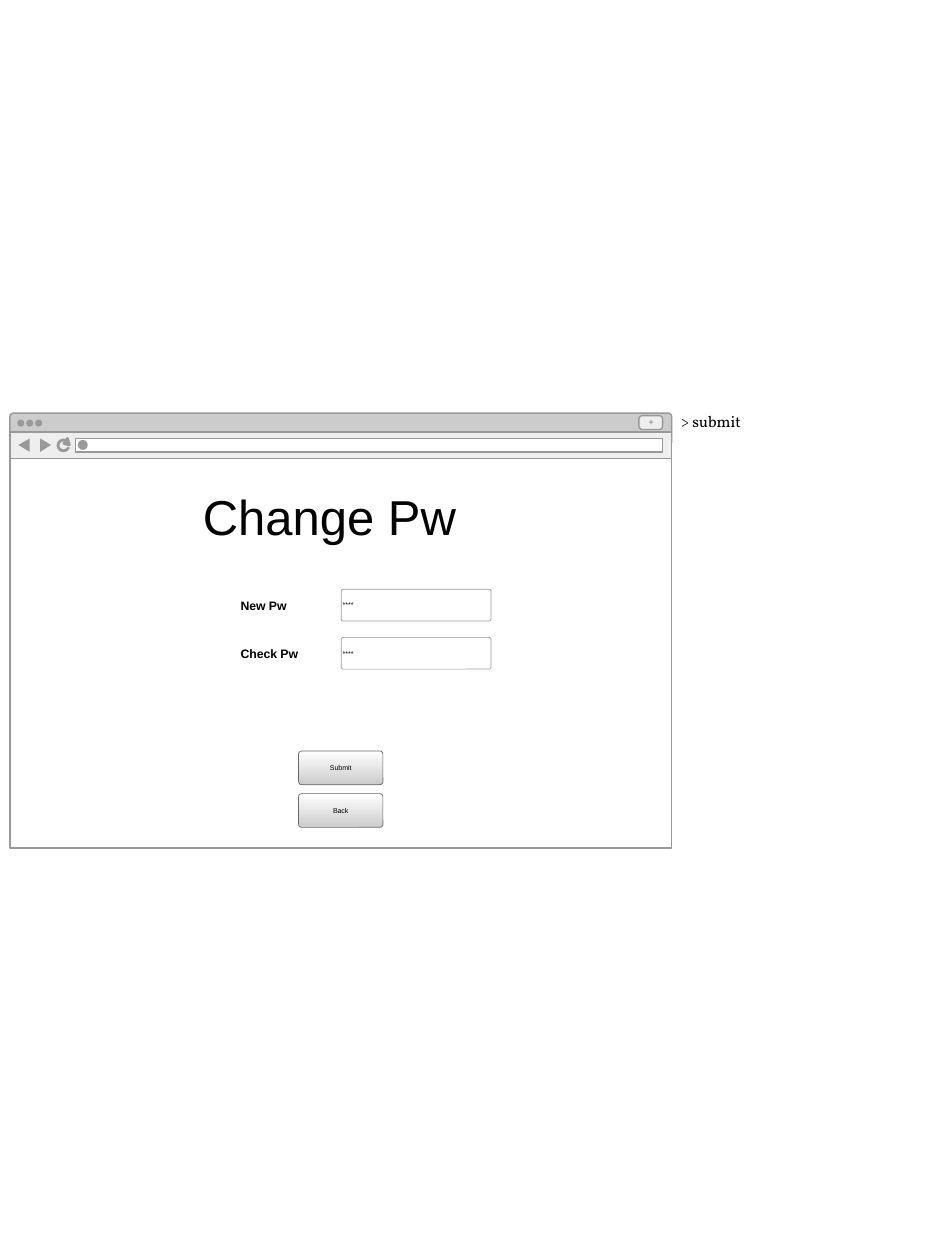
import pptx
import pptx.util
import pptx.dml.color
import pptx.enum.shapes
import pptx.enum.text

Cm = pptx.util.Cm
Pt = pptx.util.Pt
SHAPE = pptx.enum.shapes.MSO_SHAPE
ANCHOR = pptx.enum.text.MSO_ANCHOR
ALIGN = pptx.enum.text.PP_ALIGN

COLOURS = {
    "text": "000000",
    "paper": "FFFFFF",
    "toolbar": "EEEEEE",
    "title_bar": "CCCCCC",
    "outline": "999999",
    "button_line": "666666",
}

# Boxes are left, top, width, height in centimetres.
HEADING = ("Change Pw", (4.09, 9.8, 5.61, 1.19))
NOTE = ("> submit", (13.72, 8.31, 5.13, 0.38))
FIELDS = [("New Pw", "****"), ("Check Pw", "****")]
BUTTONS = ["Submit", "Back"]

WINDOW_LEFT, WINDOW_WIDTH = 0.2, 13.34
TITLE_BAR = (WINDOW_LEFT, 8.33, WINDOW_WIDTH, 0.65)
TOOLBAR = (WINDOW_LEFT, 8.71, WINDOW_WIDTH, 0.53)
PAGE = (WINDOW_LEFT, 9.24, WINDOW_WIDTH, 7.86)
NEW_TAB = (12.88, 8.38, 0.48, 0.28)
ADDRESS = (1.52, 8.84, 11.84, 0.27)
SITE_ICON = (1.57, 8.87, 0.2, 0.2)
RELOAD = (1.17, 8.87, 0.22, 0.22)
ARROWS = {
    "back": [(0.37, 8.97), (0.6, 8.84), (0.6, 9.11)],
    "forward": [(1.03, 8.97), (0.81, 9.11), (0.81, 8.84)],
}
RELOAD_HEAD = [(1.4, 8.97), (1.29, 8.94), (1.36, 8.84)]
DOT_COUNT, DOT_LEFT, DOT_TOP, DOT_SIZE, DOT_STEP = 3, 0.35, 8.46, 0.14, 0.18

FIELD_LEFT, FIELD_TOP, FIELD_WIDTH, FIELD_HEIGHT, FIELD_STEP = 6.88, 11.88, 3.02, 0.64, 0.97
LABEL_LEFT, LABEL_WIDTH, LABEL_HEIGHT = 4.85, 1.45, 0.3
BUTTON_LEFT, BUTTON_TOP, BUTTON_WIDTH, BUTTON_HEIGHT, BUTTON_STEP = 6.02, 15.14, 1.7, 0.68, 0.86
SMALL_TEXT_HEIGHT, MASK_INSET = 0.18, 0.03

prs = pptx.Presentation()
prs.slide_width, prs.slide_height = Cm(19.05), Cm(25.4)
slide = prs.slides.add_slide(prs.slide_layouts[6])


def rgb(name):
    return pptx.dml.color.RGBColor.from_string(COLOURS[name])


def paint(shape, fill=None, line=None, weight=0.79):
    shape.shadow.inherit = False
    if fill:
        shape.fill.solid()
        shape.fill.fore_color.rgb = rgb(fill)
    else:
        shape.fill.background()
    if line:
        shape.line.color.rgb = rgb(line)
        shape.line.width = Pt(weight)
    else:
        shape.line.fill.background()
    return shape


def add_box(kind, box, fill=None, line=None, weight=0.79, corner=None):
    shape = slide.shapes.add_shape(kind, *map(Cm, box))
    if corner is not None:
        shape.adjustments[0] = corner
    return paint(shape, fill, line, weight)


def add_triangle(points, line=None, weight=0.79):
    start, *rest = [(Cm(x), Cm(y)) for x, y in points]
    builder = slide.shapes.build_freeform(*start)
    builder.add_line_segments(rest, close=True)
    paint(builder.convert_to_shape(), "outline", line, weight)


def add_text(text, box, size, font="Arial", colour="text", bold=False,
             align=ALIGN.LEFT, anchor=ANCHOR.MIDDLE):
    frame = slide.shapes.add_textbox(*map(Cm, box)).text_frame
    frame.word_wrap = True
    frame.auto_size = pptx.enum.text.MSO_AUTO_SIZE.SHAPE_TO_FIT_TEXT
    frame.vertical_anchor = anchor
    frame.margin_left = frame.margin_right = frame.margin_top = frame.margin_bottom = 0
    paragraph = frame.paragraphs[0]
    paragraph.alignment = align
    run = paragraph.add_run()
    run.text = text
    run.font.name, run.font.size, run.font.bold = font, Pt(size), bold
    run.font.color.rgb = rgb(colour)


def middle_band(top, outer_height, height):
    """Return the top of a band centred in a taller box."""
    return top + (outer_height - height) / 2


# Browser window
add_box(SHAPE.ROUNDED_RECTANGLE, TITLE_BAR, "title_bar", "outline", corner=0.1)
add_box(SHAPE.RECTANGLE, PAGE, "paper", "outline")
add_box(SHAPE.ROUNDED_RECTANGLE, NEW_TAB, "toolbar", "outline", corner=0.25)
add_text("+", (12.9, 8.41, 0.46, 0.2), 5, colour="outline", bold=True, align=ALIGN.CENTER)
for i in range(DOT_COUNT):
    add_box(SHAPE.OVAL, (DOT_LEFT + i * DOT_STEP, DOT_TOP, DOT_SIZE, DOT_SIZE), "outline")

# Toolbar
add_box(SHAPE.RECTANGLE, TOOLBAR, "toolbar", "outline")
for points in ARROWS.values():
    add_triangle(points)
add_box(SHAPE.RECTANGLE, ADDRESS, "paper", "outline")
add_box(SHAPE.OVAL, SITE_ICON, "outline")
reload_arc = add_box(SHAPE.ARC, RELOAD, line="outline", weight=1.59)
# Angles are in 60000ths of a degree, and adjustments in units of 100000.
for i, degrees in enumerate((20, 355)):
    reload_arc.adjustments[i] = degrees * 0.6
add_triangle(RELOAD_HEAD, "outline", 1.59)

# Form
add_text(*HEADING, 28, anchor=ANCHOR.TOP)
for i, (label, mask) in enumerate(FIELDS):
    top = FIELD_TOP + i * FIELD_STEP
    add_box(SHAPE.ROUNDED_RECTANGLE, (FIELD_LEFT, top, FIELD_WIDTH, FIELD_HEIGHT),
            "paper", "outline", 0.4, corner=0.06)
    add_text(mask, (FIELD_LEFT + MASK_INSET, middle_band(top, FIELD_HEIGHT, SMALL_TEXT_HEIGHT),
                    FIELD_WIDTH - 2 * MASK_INSET, SMALL_TEXT_HEIGHT), 4)
    add_text(label, (LABEL_LEFT, middle_band(top, FIELD_HEIGHT, LABEL_HEIGHT),
                     LABEL_WIDTH, LABEL_HEIGHT), 7, bold=True)

for i, caption in enumerate(BUTTONS):
    top = BUTTON_TOP + i * BUTTON_STEP
    button = add_box(SHAPE.ROUNDED_RECTANGLE, (BUTTON_LEFT, top, BUTTON_WIDTH, BUTTON_HEIGHT),
                     line="button_line", weight=0.4, corner=0.09)
    button.fill.gradient()
    button.fill.gradient_angle = 270
    for stop, position, colour in zip(button.fill.gradient_stops, (0, 1), ("paper", "title_bar")):
        stop.position = position
        stop.color.rgb = rgb(colour)
    add_text(caption, (BUTTON_LEFT, middle_band(top, BUTTON_HEIGHT, SMALL_TEXT_HEIGHT),
                       BUTTON_WIDTH, SMALL_TEXT_HEIGHT), 4, align=ALIGN.CENTER)

add_text(*NOTE, 9, font="Vollkorn", anchor=ANCHOR.TOP)

prs.save("out.pptx")
